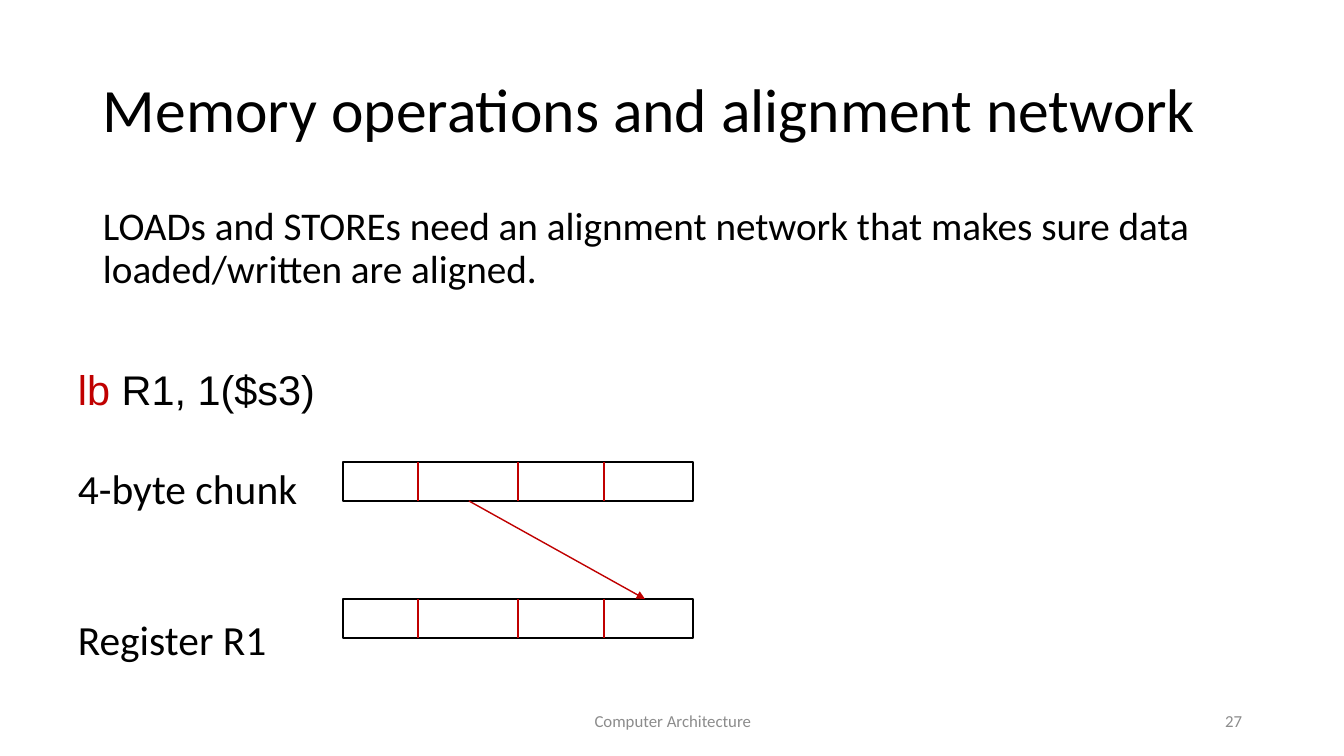
from pptx import Presentation
from pptx.dml.color import RGBColor
from pptx.enum.shapes import MSO_CONNECTOR, MSO_SHAPE
from pptx.enum.text import MSO_ANCHOR, PP_ALIGN
from pptx.oxml.ns import qn
from pptx.util import Pt
from lxml import etree

PX = 914400 / 100.8
BLACK = RGBColor(0x00, 0x00, 0x00)
RED = RGBColor(0xC0, 0x00, 0x00)
GREY = RGBColor(0x8C, 0x8C, 0x8C)
LEFT, CENTER, RIGHT = PP_ALIGN.LEFT, PP_ALIGN.CENTER, PP_ALIGN.RIGHT
TOP, MIDDLE = MSO_ANCHOR.TOP, MSO_ANCHOR.MIDDLE
RECT, LINE = MSO_SHAPE.RECTANGLE, MSO_CONNECTOR.STRAIGHT

prs = Presentation()
prs.slide_width, prs.slide_height = round(1344 * PX), round(756 * PX)
slide = prs.slides.add_slide(prs.slide_layouts[6])
shapes = slide.shapes


def add_text(box, text, size, color=BLACK, align=LEFT, anchor=TOP, font="Calibri"):
    """Add a text box at box (px) and return its paragraph."""
    frame = shapes.add_textbox(*(round(v * PX) for v in box)).text_frame
    frame.word_wrap = True
    frame.vertical_anchor = anchor
    para = frame.paragraphs[0]
    para.alignment = align
    para.font.name, para.font.size = font, Pt(size)
    para.font.color.rgb = color
    if text:
        para.add_run().text = text
    return para


def add_line(x1, y1, x2, y2):
    """Add a thin red line between two points in px."""
    line = shapes.add_connector(LINE, *(round(v * PX) for v in (x1, y1, x2, y2)))
    line.line.color.rgb = RED
    line.line.width = Pt(1)
    etree.SubElement(line._element.spPr, qn("a:effectLst"))
    return line


title = add_text((93, 40, 1159, 146), "Memory operations and alignment network",
                 44, anchor=MIDDLE)
title.line_spacing = 0.9

body = add_text((93, 202, 1159, 100),
                "LOADs and STOREs need an alignment network that makes sure data "
                "loaded/written are aligned.", 28)
body.line_spacing = 0.9
body.space_before = Pt(10)

add_text((446, 701, 454, 40), "Computer Architecture", 12, GREY, CENTER, MIDDLE)
add_text((950, 701, 302, 40), "27", 12, GREY, RIGHT, MIDDLE)

code = add_text((68, 359, 270, 58), "", 29.6, font="Arial")
for part, color in (("lb", RED), (" R1, 1($s3)", BLACK)):
    run = code.add_run()
    run.text = part
    run.font.color.rgb = color

for label, y in (("4-byte chunk", 458), ("Register R1", 609)):
    add_text((68, y, 270, 58), label, 29.6)

# Four-byte words, each split into bytes
WORD_X, WORD_W, WORD_H = 343, 350, 39
CHUNK_Y, REG_Y = 462, 599
for y in (CHUNK_Y, REG_Y):
    word = shapes.add_shape(RECT, *(round(v * PX) for v in (WORD_X, y, WORD_W, WORD_H)))
    word.shadow.inherit = False
    word.fill.background()
    word.line.color.rgb = BLACK
    word.line.width = Pt(2)
    for x in (418, 518, 604):
        add_line(x, y, x, y + WORD_H)

# The loaded byte moves to the last place in the register
move = add_line(469, CHUNK_Y + WORD_H, 645, REG_Y)
etree.SubElement(move.line._get_or_add_ln(), qn("a:tailEnd"), type="triangle")

prs.save("out.pptx")
